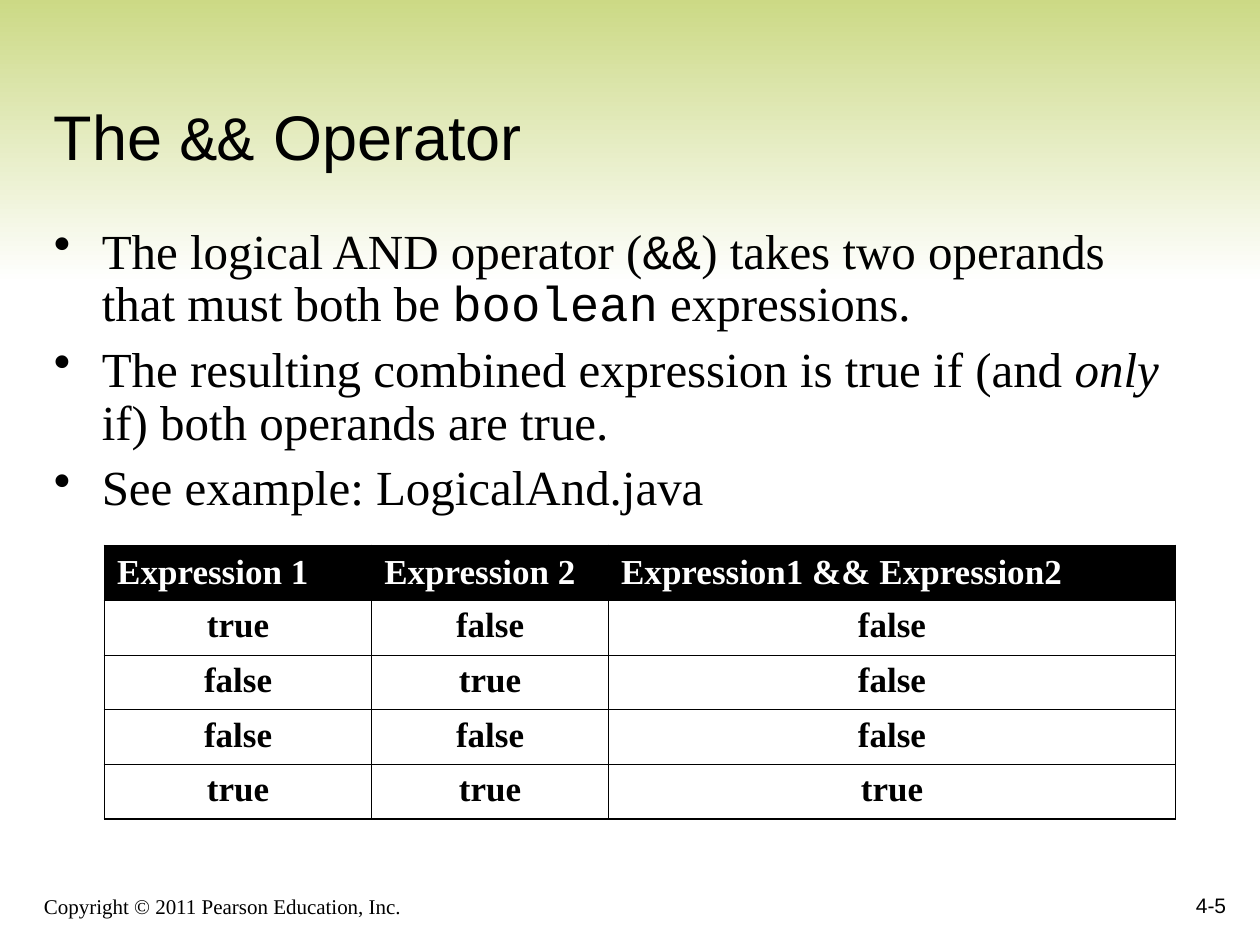
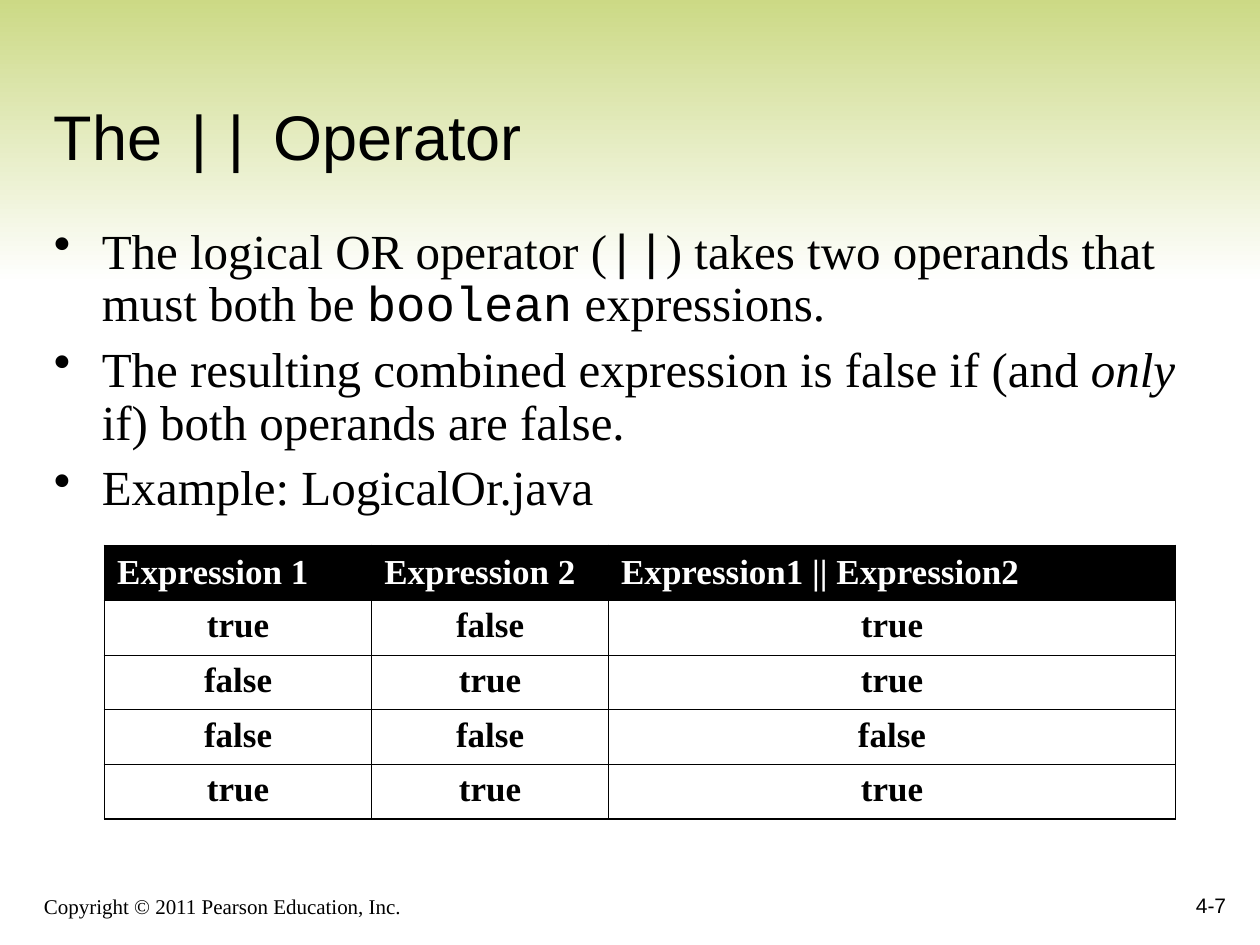
from lxml.etree import SubElement
from pptx import Presentation
from pptx.dml.color import RGBColor
from pptx.enum.shapes import MSO_SHAPE
from pptx.enum.text import MSO_ANCHOR as ANCHOR, PP_ALIGN as ALIGN
from pptx.oxml import parse_xml
from pptx.oxml.ns import nsdecls, qn
from pptx.util import Inches, Pt

COLORS = {"ink": "000000", "paper": "FFFFFF", "band": "CAD881"}
SANS, SERIF, MONO = "Arial", "Times New Roman", "Courier New"
CODE = {"font": MONO}
EMPHASIS = {"italic": True}

# Boxes shared by the slides: left, top, width, height in inches
BAND_BOX = (0, -0.08, 10, 2.33)
COPYRIGHT_BOX = (0.25, 6.92, 6.08, 0.42)
NUMBER_BOX = (7.75, 6.83, 2.08, 0.5)
TITLE_BOX = (0.33, 0.33, 9.42, 1.09)
BULLETS_BOX = (0.33, 1.75, 9.07, 2.42)
TABLE_BOX = (0.83, 4.33, 8.5, 2.17)

COLUMN_WIDTHS = (2.12, 1.88, 4.5)
OPERANDS = ((True, False), (False, True), (False, False), (True, True))
OUTER_LINE, INNER_LINE = 1.08, 0.45
COPYRIGHT = "Copyright © 2011 Pearson Education, Inc."


def rgb(name):
    return RGBColor.from_string(COLORS[name])


def inches(box):
    return [Inches(length) for length in box]


def write(paragraph, text, size=12, font=SERIF, color="ink", bold=False, italic=False):
    run = paragraph.add_run()
    run.text = text
    run.font.size = Pt(size)
    run.font.name = font
    run.font.color.rgb = rgb(color)
    run.font.bold = bold
    run.font.italic = italic


def write_runs(paragraph, runs, **style):
    """Write plain strings and (text, format) pairs in one shared style."""
    for part in runs:
        text, extra = (part, {}) if isinstance(part, str) else part
        write(paragraph, text, **{**style, **extra})


def add_frame(slide, box, anchor=ANCHOR.TOP):
    frame = slide.shapes.add_textbox(*inches(box)).text_frame
    frame.word_wrap = True
    frame.vertical_anchor = anchor
    return frame


def add_band(slide, box):
    band = slide.shapes.add_shape(MSO_SHAPE.RECTANGLE, *inches(box))
    band.shadow.inherit = False
    band.line.fill.background()
    band.fill.gradient()
    band.fill.gradient_angle = 270
    for stop, name, position in zip(band.fill.gradient_stops, ("band", "paper"), (0, 1)):
        stop.color.rgb = rgb(name)
        stop.position = position


def add_footer(slide, copyright_box, number_box, number):
    write(add_frame(slide, copyright_box, ANCHOR.BOTTOM).paragraphs[0], COPYRIGHT)
    page = add_frame(slide, number_box, ANCHOR.BOTTOM).paragraphs[0]
    page.alignment = ALIGN.RIGHT
    write(page, number, font=SANS)


def add_title(slide, box, symbol):
    title = add_frame(slide, box, ANCHOR.BOTTOM).paragraphs[0]
    write_runs(title, ["The ", (symbol, CODE), " Operator"], size=36, font=SANS)


def set_bullet(paragraph):
    properties = paragraph._p.get_or_add_pPr()
    indent = Inches(0.38)
    properties.set("marL", str(indent))
    properties.set("indent", str(-indent))
    bullet_color = SubElement(properties, qn("a:buClr"))
    SubElement(bullet_color, qn("a:srgbClr"), val=COLORS["ink"])
    SubElement(properties, qn("a:buChar"), char="•")


def add_bullets(slide, box, bullets):
    frame = add_frame(slide, box)
    frame.margin_right = 0
    for index, runs in enumerate(bullets):
        paragraph = frame.add_paragraph() if index else frame.paragraphs[0]
        set_bullet(paragraph)
        paragraph.line_spacing = 0.9
        if index:
            paragraph.space_before = Pt(7)
        write_runs(paragraph, runs, size=28)


def set_borders(cell, outer_sides):
    properties = cell._tc.get_or_add_tcPr()
    for position, side in enumerate("LRTB"):
        width = Pt(OUTER_LINE if side in outer_sides else INNER_LINE)
        properties.insert(position, parse_xml(
            f'<a:ln{side} {nsdecls("a")} w="{width}"><a:solidFill>'
            f'<a:srgbClr val="{COLORS["ink"]}"/></a:solidFill></a:ln{side}>'))


def add_truth_table(slide, box, symbol, combine):
    rows = [("Expression 1", "Expression 2", f"Expression1 {symbol} Expression2")]
    rows += [[str(value).lower() for value in (*pair, combine(pair))] for pair in OPERANDS]
    last_row, last_column = len(rows) - 1, len(COLUMN_WIDTHS) - 1

    table = slide.shapes.add_table(len(rows), len(COLUMN_WIDTHS), *inches(box)).table
    table.first_row = table.horz_banding = False
    for column, width in zip(table.columns, COLUMN_WIDTHS):
        column.width = Inches(width)

    for r, row in enumerate(rows):
        table.rows[r].height = Inches(box[3] / len(rows))
        for c, text in enumerate(row):
            cell = table.cell(r, c)
            paragraph = cell.text_frame.paragraphs[0]
            if r == 0:
                cell.fill.solid()
                cell.fill.fore_color.rgb = rgb("ink")
                cell.vertical_anchor = ANCHOR.MIDDLE
            else:
                cell.fill.background()
                paragraph.alignment = ALIGN.CENTER
            write(paragraph, text, size=20, bold=True, color="ink" if r else "paper")
            edges = {"L": c == 0, "R": c == last_column, "T": r == 0, "B": r == last_row}
            set_borders(cell, [side for side, outer in edges.items() if outer])


def add_operator_slide(deck, number, symbol, name, combine, outcome, example):
    slide = deck.slides.add_slide(deck.slide_layouts[6])
    add_band(slide, BAND_BOX)
    add_footer(slide, COPYRIGHT_BOX, NUMBER_BOX, number)
    add_title(slide, TITLE_BOX, symbol)
    add_bullets(slide, BULLETS_BOX, [
        [f"The logical {name} operator (", (symbol, CODE),
         ") takes two operands that must both be ", ("boolean", CODE), " expressions."],
        [f"The resulting combined expression is {outcome} if (and ", ("only", EMPHASIS),
         f" if) both operands are {outcome}."],
        [example],
    ])
    add_truth_table(slide, TABLE_BOX, symbol, combine)


def main():
    deck = Presentation()
    deck.slide_width, deck.slide_height = Inches(10), Inches(7.5)
    add_operator_slide(deck, "4-5", "&&", "AND", all, "true",
                       "See example: LogicalAnd.java")
    add_operator_slide(deck, "4-7", "||", "OR", any, "false",
                       "Example: LogicalOr.java")
    deck.save("out.pptx")


if __name__ == "__main__":
    main()
